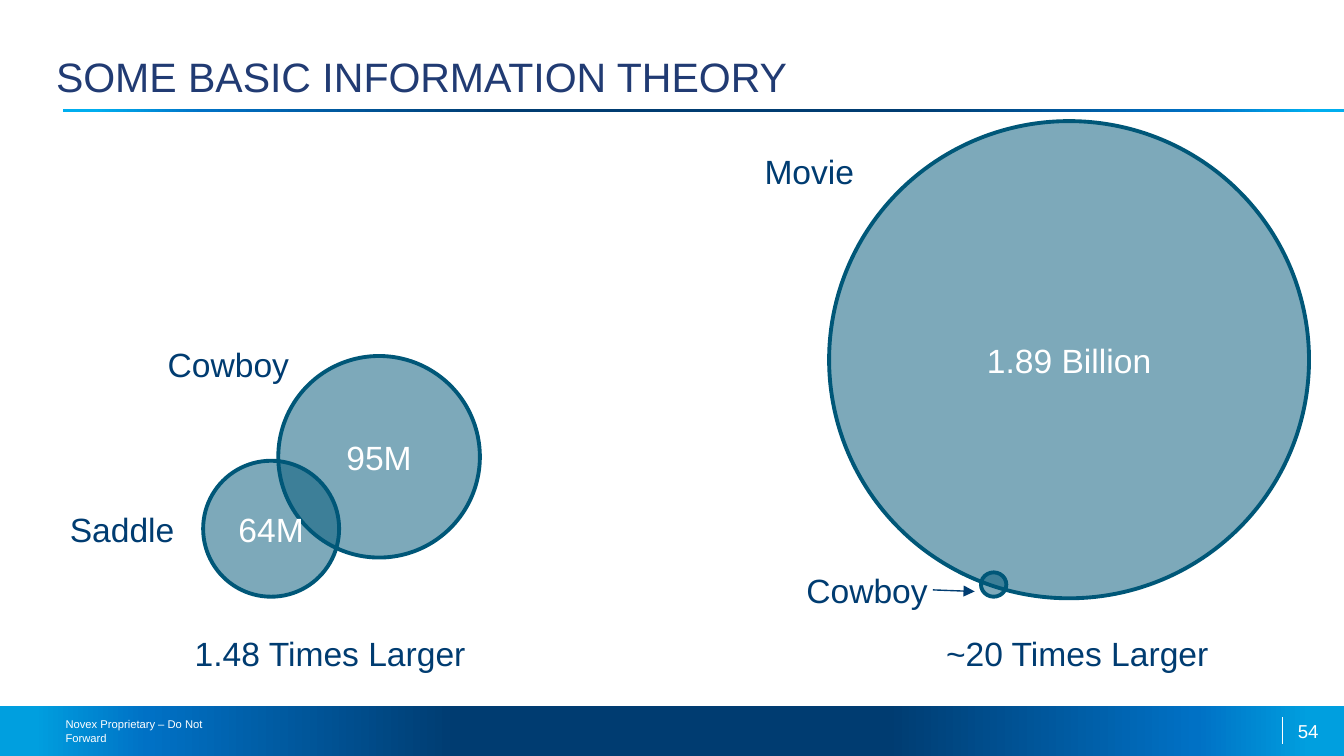
from lxml.etree import SubElement
from pptx import Presentation
from pptx.dml.color import RGBColor
from pptx.enum.shapes import MSO_CONNECTOR, MSO_SHAPE
from pptx.enum.text import MSO_ANCHOR, PP_ALIGN
from pptx.oxml.ns import qn
from pptx.util import Cm, Pt

NAVY, TEAL, WHITE = "003C71", "005778", "FFFFFF"
rgb = RGBColor.from_string

prs = Presentation()
prs.slide_width, prs.slide_height = Cm(25.4), Cm(14.29)
s = prs.slides.add_slide(prs.slide_layouts[6])


def write(sp, text, size, color, anchor=MSO_ANCHOR.TOP, align=PP_ALIGN.LEFT, wrap=True):
    tf = sp.text_frame
    tf.word_wrap = wrap
    tf.vertical_anchor = anchor
    p = tf.paragraphs[0]
    p.alignment = align
    r = p.add_run()
    r.text = text
    r.font.name = "Arial"
    r.font.size = Pt(size)
    r.font.color.rgb = rgb(color)


def add_line(x1, y1, x2, y2, color, width):
    line = s.shapes.add_connector(MSO_CONNECTOR.STRAIGHT, Cm(x1), Cm(y1), Cm(x2), Cm(y2))
    line.line.color.rgb = rgb(color)
    line.line.width = Pt(width)
    SubElement(line._element.spPr, qn("a:effectLst"))
    return line


# Footer bar and title rule: gradients mirrored about the middle
for x, y, w, h, edge in [(0, 13.34, 25.4, 0.95, "009FDF"),
                         (1.19, 2.06, 24.21, 0.05, "00AEEF")]:
    sp = s.shapes.add_shape(MSO_SHAPE.RECTANGLE, Cm(x), Cm(y), Cm(w), Cm(h))
    sp.shadow.inherit = False
    sp.line.fill.background()
    sp.fill.gradient()
    sp.fill.gradient_angle = 0
    stops = sp._element.spPr.find(qn("a:gradFill")).find(qn("a:gsLst"))
    for stop in list(stops):
        stops.remove(stop)
    half = [(2.5, edge), (11, "0071C5"), (34, NAVY)]
    for pos, color in half + [(100 - pos, color) for pos, color in reversed(half)]:
        stop = SubElement(stops, qn("a:gs"), pos=str(int(pos * 1000)))
        SubElement(stop, qn("a:srgbClr"), val=color)

add_line(24.23, 13.56, 24.23, 14.07, WHITE, 0.25)

# Footer, slide number and title
for x, y, w, h, text, size, color, anchor in [
    (0.99, 13.56, 3.78, 0.51, "Novex Proprietary – Do Not Forward", 6, WHITE, MSO_ANCHOR.MIDDLE),
    (24.28, 13.49, 1.65, 1.22, "54", 10, WHITE, MSO_ANCHOR.TOP),
    (0.81, 0.58, 23.93, 1.7, "SOME BASIC INFORMATION THEORY", 22, "213B73", MSO_ANCHOR.MIDDLE),
]:
    sp = s.shapes.add_textbox(Cm(x), Cm(y), Cm(w), Cm(h))
    write(sp, text, size, color, anchor)

# Circles sized by number of results
for x, y, w, h, text in [
    (15.67, 2.29, 9.07, 9.02, "1.89 Billion"),
    (18.54, 10.82, 0.48, 0.46, ""),
    (5.26, 6.73, 3.81, 3.81, "95M"),
    (3.84, 8.71, 2.57, 2.57, "64M"),
]:
    sp = s.shapes.add_shape(MSO_SHAPE.OVAL, Cm(x), Cm(y), Cm(w), Cm(h))
    sp.shadow.inherit = False
    sp.fill.solid()
    sp.fill.fore_color.rgb = rgb(TEAL)
    fill_color = sp._element.spPr.find(qn("a:solidFill")).find(qn("a:srgbClr"))
    SubElement(fill_color, qn("a:alpha"), val="51000")
    sp.line.color.rgb = rgb(TEAL)
    sp.line.width = Pt(2.08)
    if text:
        write(sp, text, 18, WHITE, MSO_ANCHOR.MIDDLE, PP_ALIGN.CENTER)

# Circle names and ratios
for x, y, w, text in [
    (17.63, 11.84, 5.59, "~20 Times Larger"),
    (3.43, 11.84, 5.97, "1.48 Times Larger"),
    (14.2, 2.72, 2.24, "Movie"),
    (14.99, 10.64, 2.82, "Cowboy"),
    (2.92, 6.38, 2.82, "Cowboy"),
    (1.07, 9.5, 2.51, "Saddle"),
]:
    sp = s.shapes.add_textbox(Cm(x), Cm(y), Cm(w), Cm(1.02))
    write(sp, text, 18, NAVY, wrap=False)

arrow = add_line(17.63, 11.15, 18.42, 11.18, NAVY, 0.75)
SubElement(arrow.line._get_or_add_ln(), qn("a:tailEnd"), type="triangle")

prs.save("out.pptx")
